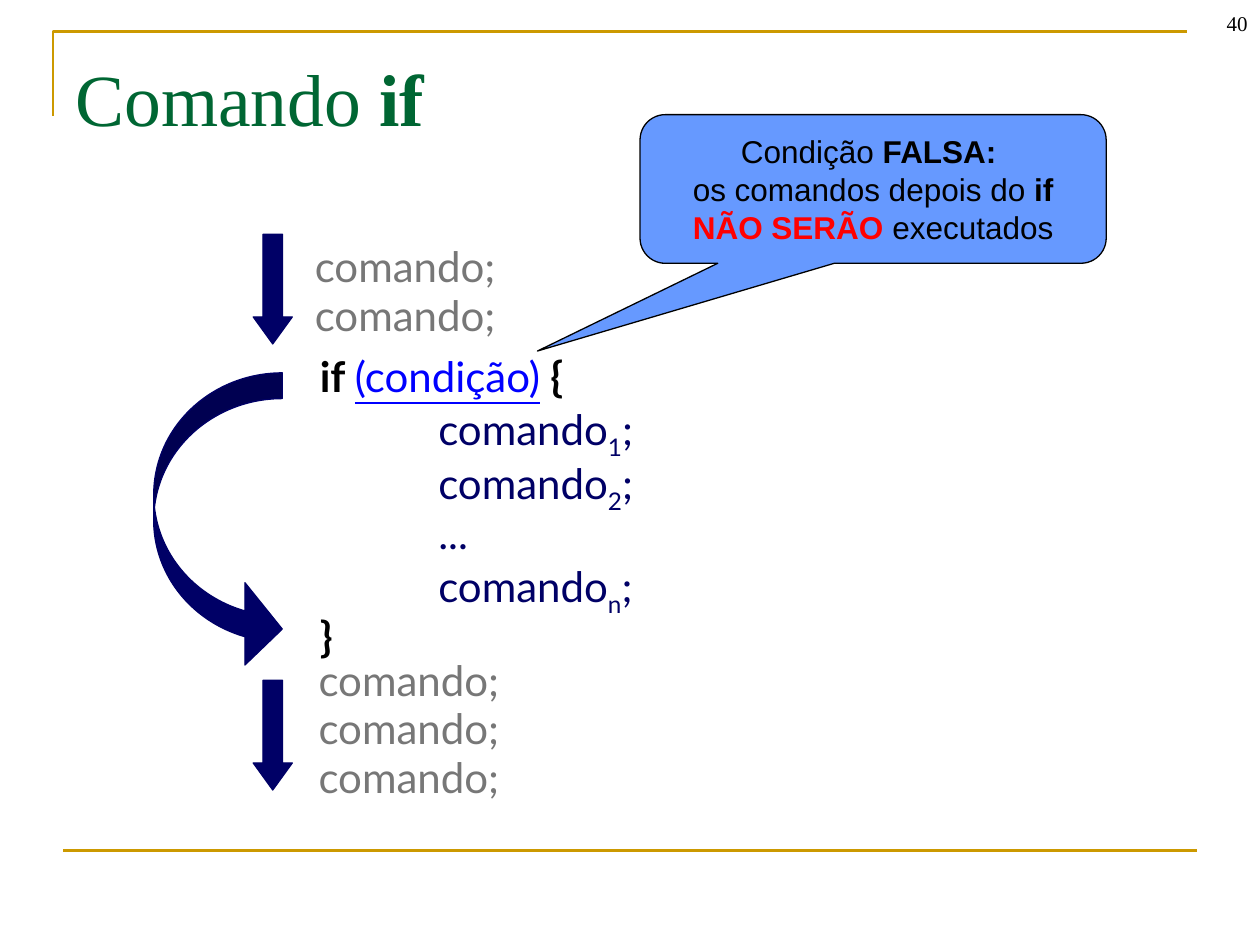
from lxml.etree import SubElement
from pptx import Presentation
from pptx.dml.color import RGBColor
from pptx.enum.shapes import MSO_CONNECTOR as Connector, MSO_SHAPE as Shape
from pptx.enum.text import MSO_ANCHOR as Anchor, PP_ALIGN as Align
from pptx.oxml.ns import qn
from pptx.util import Inches, Pt

GOLD = RGBColor(0xCC, 0x99, 0x00)
GREEN = RGBColor(0x00, 0x66, 0x33)
NAVY = RGBColor(0x00, 0x00, 0x66)
BLUE = RGBColor(0x00, 0x00, 0xFF)
SKY = RGBColor(0x66, 0x99, 0xFF)
GRAY = RGBColor(0x77, 0x77, 0x77)
RED = RGBColor(0xFF, 0x00, 0x00)
BLACK = RGBColor(0x00, 0x00, 0x00)

WIDTH, HEIGHT = Inches(10), Inches(7.5)
COLUMNS, ROWS = 100, 75
CODE = dict(font="Lato", size=24, line_spacing=0.8, space_before=4.8)


def grid(*lengths):
    """Turn alternating columns and rows into slide lengths."""
    units = WIDTH / COLUMNS, HEIGHT / ROWS
    return [round(length * units[i % 2]) for i, length in enumerate(lengths)]


def write(frame, paragraphs, font, size, color=BLACK, align=Align.LEFT,
          anchor=Anchor.TOP, line_spacing=None, space_before=0):
    """Fill a frame; each paragraph is (indent in columns, [(text, format), ...])."""
    frame.word_wrap = True
    frame.vertical_anchor = anchor
    for i, (indent, runs) in enumerate(paragraphs):
        paragraph = frame.paragraphs[0] if i == 0 else frame.add_paragraph()
        paragraph.alignment = align
        paragraph.line_spacing = line_spacing
        paragraph.space_before = Pt(space_before)
        if indent:
            paragraph._p.get_or_add_pPr().set("marL", str(grid(indent)[0]))
        for text, style in runs:
            run = paragraph.add_run()
            run.text = text
            run.font.name, run.font.size = font, Pt(size)
            run.font.bold = style.get("bold", False)
            run.font.underline = style.get("underline", False)
            run.font.color.rgb = style.get("color", color)
            if "baseline" in style:
                run.font._element.set("baseline", str(style["baseline"]))


def add_text(slide, place, paragraphs, **style):
    box = slide.shapes.add_textbox(*grid(*place))
    write(box.text_frame, paragraphs, **style)
    return box


def add_figure(slide, kind, place, adjustments, fill, outline):
    figure = slide.shapes.add_shape(kind, *grid(*place))
    for i, value in enumerate(adjustments):
        figure.adjustments[i] = value
    figure.shadow.inherit = False
    figure.fill.solid()
    figure.fill.fore_color.rgb = fill
    figure.line.color.rgb = outline
    figure.line.width = Pt(0.75)
    return figure


def add_frame_lines(slide):
    """Draw the gold corner above the title and the rule at the foot."""
    points = [grid(*point) for point in ((4.2, 9.2), (4.2, 2.5), (94.2, 2.5))]
    builder = slide.shapes.build_freeform(*points[0])
    builder.add_line_segments(points[1:], close=False)
    corner = builder.convert_to_shape()
    corner.fill.background()
    corner.shadow.inherit = False
    rule = slide.shapes.add_connector(Connector.STRAIGHT, *grid(5, 67.5, 95, 67.5))
    for part in (corner, rule):
        part.line.color.rgb = GOLD
        part.line.width = Pt(1.5)
    SubElement(rule._element.spPr, qn("a:effectLst"))


def add_code(slide):
    plain = (0, [("comando;", {})])
    bold = dict(bold=True)

    def numbered(index):
        return 9.4, [("comando", {}), (index, dict(baseline=-25000)), (";", {})]

    block = [
        (0, [("if ", dict(bold=True, color=BLACK)),
             ("(condição)", dict(color=BLUE, underline=True)),
             (" {", dict(bold=True, color=BLACK))]),
        numbered("1"),
        numbered("2"),
        (9.4, [("...", {})]),
        numbered("n"),
        (0, [("}", dict(bold, color=BLACK))]),
    ]
    add_text(slide, (24.4, 28.1, 45.7, 24.4), block, color=NAVY, **CODE)
    add_text(slide, (24.3, 52.2, 17.8, 12.3), [plain] * 3, color=GRAY, **CODE)
    add_text(slide, (24, 19.4, 20.5, 8.3), [plain] * 2, color=GRAY, **CODE)


def add_flow(slide):
    for top in (18.6, 54):
        add_figure(slide, Shape.DOWN_ARROW, (20.1, top, 3.1, 8.7),
                   (0.5, 0.69), NAVY, NAVY)
    add_figure(slide, Shape.CURVED_RIGHT_ARROW, (12.2, 29.6, 10.2, 23.6),
               (0.2, 0.64, 0.29), NAVY, NAVY)


def add_callout(slide):
    callout = add_figure(slide, Shape.ROUNDED_RECTANGULAR_CALLOUT,
                         (50.8, 9.1, 37, 11.8), (-0.72, 1.09, 0.17), SKY, BLACK)
    message = [
        (0, [("Condição", {}), (" FALSA: ", dict(bold=True))]),
        (0, [("os comandos depois do ", {}), ("if ", dict(bold=True)),
             ("NÃO SERÃO", dict(bold=True, color=RED)), (" executados", {})]),
    ]
    write(callout.text_frame, message, font="Arial", size=18,
          align=Align.CENTER, anchor=Anchor.MIDDLE)


def main():
    deck = Presentation()
    deck.slide_width, deck.slide_height = WIDTH, HEIGHT
    slide = deck.slides.add_slide(deck.slide_layouts[6])
    add_frame_lines(slide)
    add_text(slide, (95, -1.7, 5, 5), [(0, [("40", {})])],
             font="Times New Roman", size=12, align=Align.RIGHT, anchor=Anchor.BOTTOM)
    title = add_text(slide, (5, 3, 90, 12.5),
                     [(0, [("Comando ", {}), ("if", dict(bold=True))])],
                     font="Times New Roman", size=42, color=GREEN)
    title.text_frame.margin_top = Inches(0.12)
    add_code(slide)
    add_flow(slide)
    add_callout(slide)
    deck.save("out.pptx")


if __name__ == "__main__":
    main()
